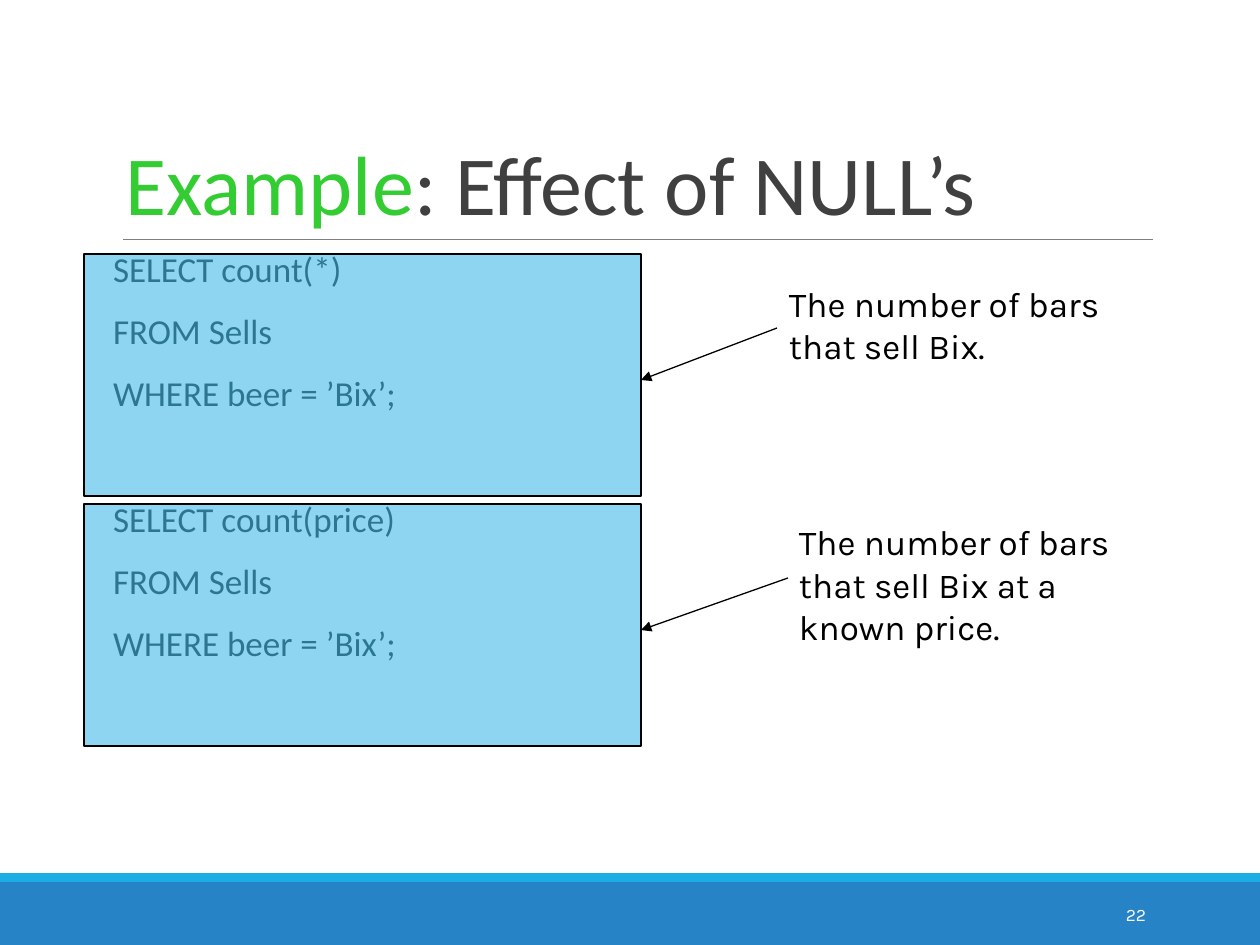
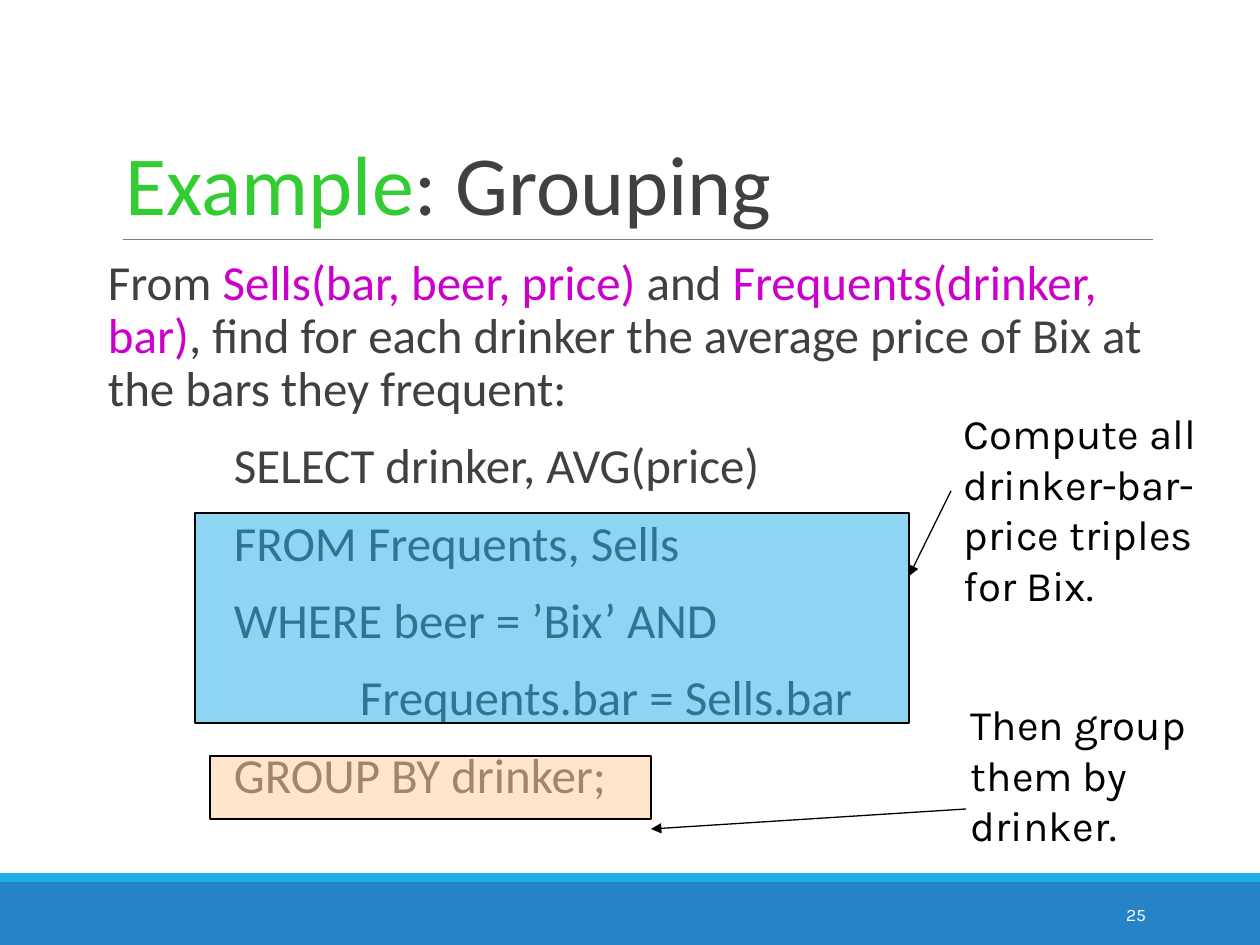
from lxml import etree
from pptx import Presentation
from pptx import util as u
from pptx.dml.color import RGBColor
from pptx.enum import shapes, text
from pptx.oxml.ns import qn

PX = 914400 / 126
C = {
    "band": "2683C6", "accent": "1CADE4", "rule": "7F7F7F", "body": "404040",
    "example": "33CC33", "relation": "CC00CC", "group": "FFCC99",
    "black": "000000", "white": "FFFFFF",
}
BODY_FONT, NOTE_FONT = "Calibri", "Karla"


def px(n):
    return u.Emu(round(n * PX))


def rgb(name):
    return RGBColor.from_string(C[name])


def add_run(p, words, size, color, font=BODY_FONT):
    r = p.add_run()
    r.text = words
    r.font.size = u.Pt(size)
    r.font.name = font
    r.font.color.rgb = rgb(color)


def add_textbox(s, box, side_inset=13, wrap=True):
    tf = s.shapes.add_textbox(*map(px, box)).text_frame
    tf.word_wrap = wrap
    tf.margin_left = tf.margin_right = px(side_inset)
    tf.margin_top = tf.margin_bottom = px(6)
    return tf


def next_paragraph(tf, first):
    return tf.paragraphs[0] if first else tf.add_paragraph()


def add_rect(s, box, fill, outline=None, alpha=None):
    """Rectangle; alpha is the opacity in percent."""
    sp = s.shapes.add_shape(shapes.MSO_SHAPE.RECTANGLE, *map(px, box))
    sp.shadow.inherit = False
    sp.fill.solid()
    sp.fill.fore_color.rgb = rgb(fill)
    if alpha:
        clr = sp._element.spPr.find(qn("a:solidFill"))[0]
        etree.SubElement(clr, qn("a:alpha"), val=str(alpha * 1000))
    if outline:
        sp.line.color.rgb = rgb(outline)
        sp.line.width = u.Pt(0.75)
    else:
        sp.line.fill.background()


def add_line(s, start, end, color, width, arrow=False):
    cx = s.shapes.add_connector(
        shapes.MSO_CONNECTOR.STRAIGHT, *map(px, (*start, *end)))
    cx.line.color.rgb = rgb(color)
    cx.line.width = u.Pt(width)
    if arrow:
        etree.SubElement(cx.line._get_or_add_ln(), qn("a:tailEnd"), type="triangle")
    etree.SubElement(cx._element.spPr, qn("a:effectLst"))


def add_title(s, topic):
    sp = s.shapes.title
    sp.left, sp.top, sp.width, sp.height = map(px, (113, 39, 1040, 200))
    tf = sp.text_frame
    tf.auto_size = text.MSO_AUTO_SIZE.NONE
    tf.vertical_anchor = text.MSO_ANCHOR.BOTTOM
    p = tf.paragraphs[0]
    p.alignment = text.PP_ALIGN.LEFT
    p.line_spacing = 0.85
    add_run(p, "Example", 48, "example")
    add_run(p, ": " + topic, 48, "body")


def add_footer(s, number):
    add_rect(s, (0, 882, 1260, 63), "band")
    add_rect(s, (0, 873, 1260, 9), "accent")
    tf = add_textbox(s, (1023, 890, 136, 50))
    tf.vertical_anchor = text.MSO_ANCHOR.MIDDLE
    p = tf.paragraphs[0]
    p.alignment = text.PP_ALIGN.RIGHT
    add_run(p, number, 10, "white", NOTE_FONT)


def add_slide(prs, topic, number):
    s = prs.slides.add_slide(prs.slide_layouts[5])
    add_title(s, topic)
    add_footer(s, number)
    add_line(s, (123, 239), (1153, 239), "rule", 0.5)
    return s


def add_body(s, box, size, paragraphs):
    """Each paragraph is (indent in px, space before in pt, [(words, color), ...])."""
    tf = add_textbox(s, box, side_inset=0)
    for i, (indent, before, runs) in enumerate(paragraphs):
        p = next_paragraph(tf, i == 0)
        p.line_spacing = 0.9
        p.space_before, p.space_after = u.Pt(before), u.Pt(2)
        pPr = p._p.get_or_add_pPr()
        pPr.set("marL", str(px(indent)))
        pPr.set("indent", "0")
        for words, color in runs:
            add_run(p, words, size, color)


def add_callout(s, box, fill, lines, size, note, start, head):
    """Tinted box with a note; note (dx, dy, width), start and head count from the box corner."""
    x, y, w, _ = box
    add_rect(s, box, fill, "black", alpha=50)
    dx, dy, note_w = note
    height = round(13 + 2.1 * size * len(lines))
    tf = add_textbox(s, (x + dx, y + dy, note_w, height), wrap=False)
    tf.auto_size = text.MSO_AUTO_SIZE.SHAPE_TO_FIT_TEXT
    for i, line in enumerate(lines):
        add_run(next_paragraph(tf, i == 0), line, size, "black", NOTE_FONT)
    add_line(s, (x + start[0], y + start[1]), (x + w, y + head), "black", 0.75, arrow=True)


def nulls_slide(prs):
    s = add_slide(prs, "Effect of NULL’s", "22")
    code = []
    for counted, before in (("*", 12), ("price", 48)):
        code += [
            (0, before, [(f"SELECT count({counted})", "body")]),
            (0, 12, [("FROM Sells", "body")]),
            (0, 12, [("WHERE beer = ’Bix’;", "body")]),
        ]
    add_body(s, (113, 246, 1040, 554), 20, code)
    add_callout(s, (84, 254, 557, 242), "accent",
                ["The number of bars", "that sell Bix."], 20,
                note=(692, 22, 352), start=(693, 74), head=126)
    add_callout(s, (84, 504, 557, 242), "accent",
                ["The number of bars", "that sell Bix at a", "known price."], 20,
                note=(702, 11, 352), start=(704, 74), head=126)


def grouping_slide(prs):
    s = add_slide(prs, "Grouping", "25")
    question = [
        ("From ", "body"),
        ("Sells(bar, beer, price)", "relation"),
        (" and ", "body"),
        ("Frequents(drinker, bar)", "relation"),
        (", find for each drinker the average price of Bix at the bars they frequent:",
         "body"),
    ]
    query = [
        (139, "SELECT drinker, AVG(price)"),
        (139, "FROM Frequents, Sells"),
        (139, "WHERE beer = ’Bix’ AND"),
        (265, "Frequents.bar = Sells.bar"),
        (139, "GROUP BY drinker;"),
    ]
    add_body(s, (95, 252, 1071, 609), 28,
             [(13, 12, question)]
             + [(indent, 12, [(line, "body")]) for indent, line in query])
    add_callout(s, (195, 513, 714, 210), "accent",
                ["Compute all", "drinker-bar-", "price triples", "for Bix."], 24,
                note=(756, -111, 263), start=(756, -22), head=63)
    add_callout(s, (210, 756, 441, 63), "group",
                ["Then group", "them by", "drinker."], 24,
                note=(748, -63, 255), start=(756, 53), head=73)


def main():
    prs = Presentation()
    prs.slide_width, prs.slide_height = px(1260), px(945)
    nulls_slide(prs)
    grouping_slide(prs)
    prs.save("out.pptx")


if __name__ == "__main__":
    main()
